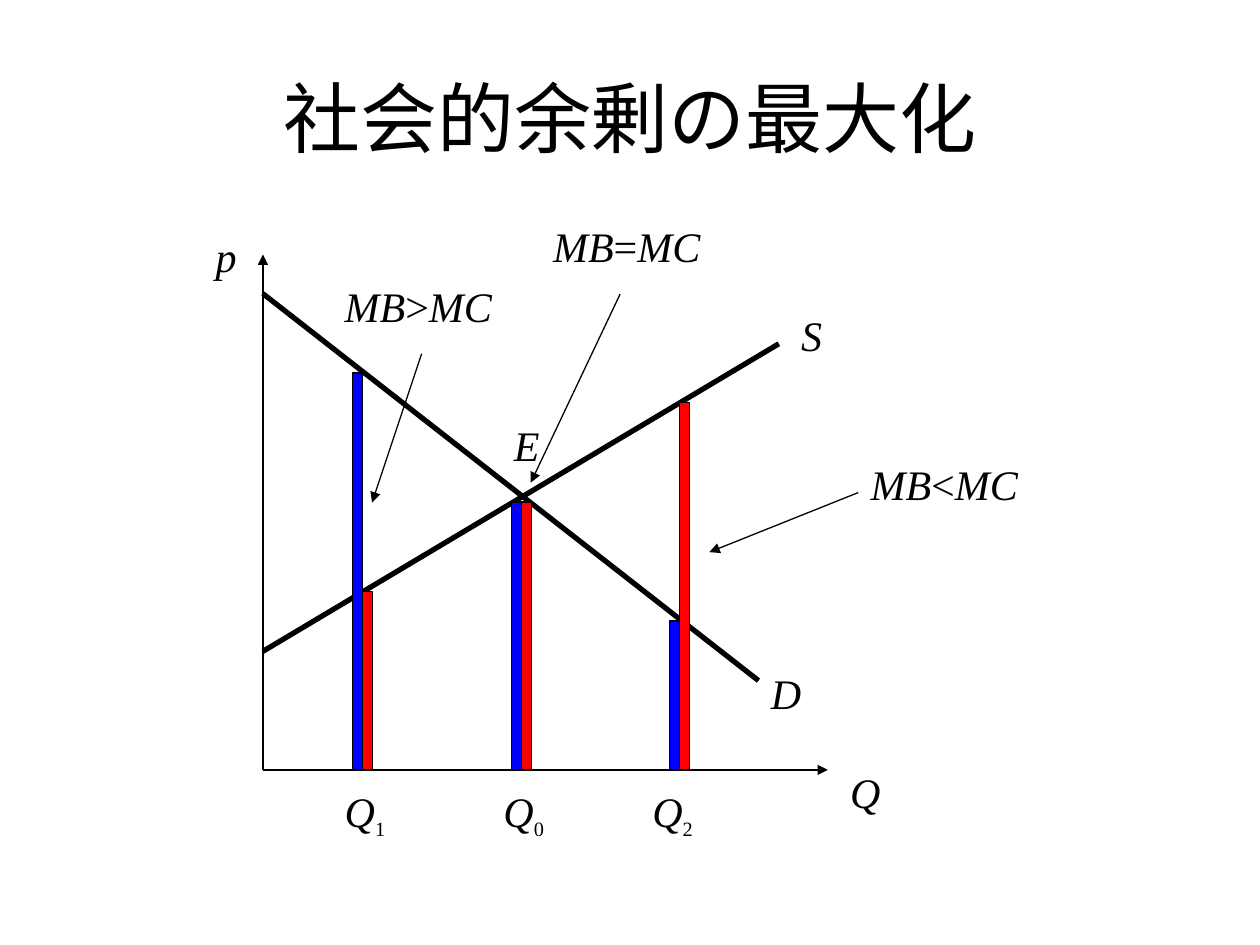
from lxml.etree import SubElement
from pptx import Presentation
from pptx.dml.color import RGBColor
from pptx.enum.shapes import MSO_CONNECTOR, MSO_SHAPE
from pptx.enum.text import MSO_ANCHOR, PP_ALIGN
from pptx.oxml.ns import qn
from pptx.util import Cm, Pt

BLACK, BLUE, RED = "000000", "0000FF", "FF0000"


def color(value):
    return RGBColor.from_string(value)


def add_run(p, text, size=24, font="Times New Roman", fill=BLACK,
            italic=False, baseline=None):
    r = p.add_run()
    r.text = text
    r.font.size = Pt(size)
    r.font.name = font
    r.font.italic = italic
    r.font.color.rgb = color(fill)
    if baseline:
        r.font._element.set("baseline", str(baseline))


class Diagram:
    thin, thick = 0.75, 3
    bar_width = 0.2
    label_height = 1.27

    def __init__(self, slide):
        self.s = slide

    def text_box(self, x, y, w, h, anchor=MSO_ANCHOR.TOP):
        sp = self.s.shapes.add_textbox(Cm(x), Cm(y), Cm(w), Cm(h))
        tf = sp.text_frame
        tf.word_wrap = True
        tf.vertical_anchor = anchor
        return tf.paragraphs[0]

    def title(self, text):
        p = self.text_box(1.27, 0.76, 22.86, 3.18, MSO_ANCHOR.MIDDLE)
        p.alignment = PP_ALIGN.CENTER
        add_run(p, text, size=44, font="Calibri")

    def label(self, x, y, w, *parts):
        p = self.text_box(x, y, w, self.label_height)
        for part in parts:
            if part.isdigit():
                add_run(p, part, size=20, baseline=-25000)
            else:
                add_run(p, part, italic=part.isalpha())

    def line(self, x1, y1, x2, y2, width=thin):
        sp = self.s.shapes.add_connector(
            MSO_CONNECTOR.STRAIGHT, Cm(x1), Cm(y1), Cm(x2), Cm(y2))
        sp.line.color.rgb = color(BLACK)
        sp.line.width = Pt(width)
        SubElement(sp._element.spPr, qn("a:effectLst"))
        return sp

    def arrow(self, x1, y1, x2, y2):
        sp = self.line(x1, y1, x2, y2)
        SubElement(sp.line._get_or_add_ln(), qn("a:tailEnd"), type="triangle")

    def bar(self, x, top, bottom, fill):
        sp = self.s.shapes.add_shape(
            MSO_SHAPE.RECTANGLE, Cm(x), Cm(top), Cm(self.bar_width), Cm(bottom - top))
        sp.shadow.inherit = False
        sp.fill.solid()
        sp.fill.fore_color.rgb = color(fill)
        sp.line.color.rgb = color(BLACK)
        sp.line.width = Pt(self.thin)


def main():
    prs = Presentation()
    prs.slide_width, prs.slide_height = Cm(25.4), Cm(19.05)
    d = Diagram(prs.slides.add_slide(prs.slide_layouts[6]))
    d.title("社会的余剰の最大化")

    left, base = 5.3, 15.52
    d.arrow(left, base, 16.69, base)
    d.arrow(left, base, left, 5.13)
    d.line(left, 5.92, 15.29, 13.72, d.thick)
    d.line(left, 13.13, 15.7, 6.93, d.thick)

    for x, benefit, cost in [(7.11, 7.52, 11.92), (10.31, 10.12, 10.12),
                             (13.5, 12.52, 8.12)]:
        d.bar(x, benefit, base, BLUE)
        d.bar(x + d.bar_width, cost, base, RED)

    for x, y, w, name in [(16.89, 15.32, 1.6, "Q"), (4.1, 4.52, 1.2, "p"),
                          (15.9, 6.12, 1.12, "S"), (15.29, 13.34, 1.12, "D"),
                          (10.11, 8.33, 1.12, "E")]:
        d.label(x, y, w, name)

    for x, w, index in [(6.7, 1.4, "1"), (9.9, 1.6, "0"), (12.9, 1.6, "2")]:
        d.label(x, 15.72, w, "Q", index)

    for x, y, sign, pointer in [(6.7, 5.53, ">", (8.5, 7.13, 7.5, 10.13)),
                                (17.3, 9.12, "<", (17.3, 9.93, 14.3, 11.13)),
                                (10.9, 4.32, "=", (12.5, 5.93, 10.7, 9.73))]:
        d.label(x, y, 4.4, "MB", sign, "MC")
        d.arrow(*pointer)

    prs.save("out.pptx")


if __name__ == "__main__":
    main()
